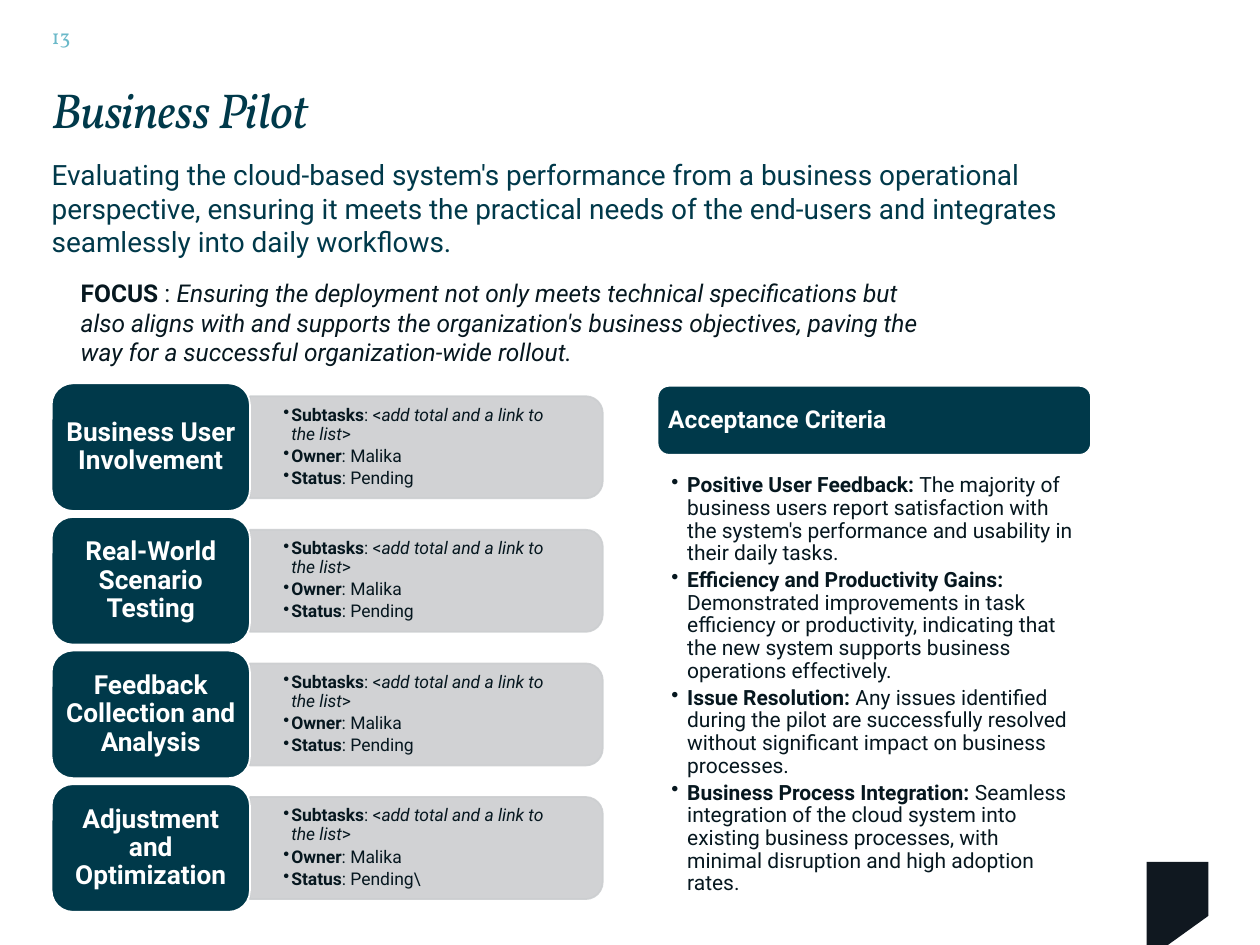
from dataclasses import dataclass
from typing import NamedTuple

from lxml.etree import SubElement
from pptx import Presentation
from pptx.dml.color import RGBColor
from pptx.enum.shapes import MSO_SHAPE
from pptx.enum.text import MSO_ANCHOR, PP_ALIGN
from pptx.oxml.ns import qn
from pptx.util import Pt


@dataclass(frozen=True)
class Theme:
    sans: str = "Roboto"
    serif: str = "Vollkorn"
    teal: str = "00394A"
    aqua: str = "6BB9C9"
    ink: str = "06171F"
    grey: str = "CCCED0"
    white: str = "FFFFFF"
    black: str = "101820"
    title: float = 28
    lead: float = 16
    card: float = 15
    head: float = 14
    body: float = 12
    small: float = 10


class Box(NamedTuple):
    left: float
    top: float
    width: float
    height: float


class Part(NamedTuple):
    text: str
    bold: bool = False
    slant: bool = False


class Style(NamedTuple):
    size: float
    color: str
    face: str = "Roboto"
    lines: float = 1.0
    after: float = 0
    hang: float = 0
    align: PP_ALIGN = PP_ALIGN.LEFT


class Task(NamedTuple):
    name: str
    status: str = "Pending"


class Goal(NamedTuple):
    name: str
    text: str


THEME = Theme()

TASKS = [
    Task("Business User Involvement"),
    Task("Real-World Scenario Testing"),
    Task("Feedback Collection and Analysis"),
    Task("Adjustment and Optimization", "Pending\\"),
]

GOALS = [
    Goal("Positive User Feedback:", " The majority of business users report satisfaction "
         "with the system's performance and usability in their daily tasks."),
    Goal("Efficiency and Productivity Gains:", " Demonstrated improvements in task efficiency "
         "or productivity, indicating that the new system supports business operations "
         "effectively."),
    Goal("Issue Resolution:", " Any issues identified during the pilot are successfully "
         "resolved without significant impact on business processes."),
    Goal("Business Process Integration:", " Seamless integration of the cloud system into "
         "existing business processes, with minimal disruption and high adoption rates."),
]


def write(shape, rows: list[list[Part]], style: Style, pads=(0, 0, 0, 0),
          anchor=MSO_ANCHOR.TOP, wrap: bool = True):
    frame = shape.text_frame
    frame.word_wrap = wrap
    frame.vertical_anchor = anchor
    (frame.margin_left, frame.margin_top,
     frame.margin_right, frame.margin_bottom) = map(Pt, pads)
    for i, row in enumerate(rows):
        para = frame.paragraphs[0] if i == 0 else frame.add_paragraph()
        para.alignment = style.align
        para.line_spacing = style.lines
        para.space_before = Pt(0)
        para.space_after = Pt(style.after)
        if style.hang:
            para.level = 1
            props = para._p.get_or_add_pPr()
            props.set("marL", str(Pt(style.hang)))
            props.set("indent", str(-Pt(style.hang)))
            SubElement(props, qn("a:buChar")).set("char", "•")
        para.font.name = style.face
        para.font.size = Pt(style.size)
        para.font.color.rgb = RGBColor.from_string(style.color)
        for part in row:
            run = para.add_run()
            run.text = part.text
            run.font.bold = part.bold
            run.font.italic = part.slant
    return shape


def label(slide, box: Box, rows: list[list[Part]], style: Style, **rest):
    return write(slide.shapes.add_textbox(*map(Pt, box)), rows, style, **rest)


def paint(shape, fill: str, line: str | None = None):
    shape.shadow.inherit = False
    shape.fill.solid()
    shape.fill.fore_color.rgb = RGBColor.from_string(fill)
    if line:
        shape.line.color.rgb = RGBColor.from_string(line)
        shape.line.width = Pt(1)
    else:
        shape.line.fill.background()
    return shape


def block(slide, kind: MSO_SHAPE, box: Box, fill: str, line: str):
    return paint(slide.shapes.add_shape(kind, *map(Pt, box)), fill, line)


def tab(slide, box: Box):
    """Draw a see-through bar, rounded on its right side only."""
    left = box.left + (box.width - box.height) / 2
    top = box.top + (box.height - box.width) / 2
    shape = block(slide, MSO_SHAPE.ROUND_2_SAME_RECTANGLE,
                  Box(left, top, box.height, box.width), THEME.grey, THEME.grey)
    shape.rotation = 90
    for color in shape._element.spPr.iter(qn("a:srgbClr")):
        SubElement(color, qn("a:alpha")).set("val", "90000")


def card(slide, task: Task, top: float):
    tab(slide, Box(142.8, top + 7.3, 201.6, 58.3))
    rows = [
        [Part("Subtasks", True), Part(": <"),
         Part("add total and a link to the list", slant=True), Part(">")],
        [Part("Owner", True), Part(": Malika")],
        [Part("Status", True), Part(f": {task.status}")],
    ]
    label(slide, Box(142.8, top + 10.1, 198.7, 52.6), rows,
          Style(THEME.small, THEME.ink, lines=0.9, after=1.8, hang=4.5),
          pads=(19.2, 9.9, 19.2, 9.9), anchor=MSO_ANCHOR.MIDDLE)
    shape = block(slide, MSO_SHAPE.ROUNDED_RECTANGLE, Box(29.5, top, 113.3, 72.9),
                  THEME.teal, THEME.white)
    write(shape, [[Part(task.name, True)]],
          Style(THEME.card, THEME.white, lines=0.9, align=PP_ALIGN.CENTER),
          pads=(4.5, 2.25, 4.5, 2.25), anchor=MSO_ANCHOR.MIDDLE)


def main():
    deck = Presentation()
    deck.slide_width, deck.slide_height = Pt(720), Pt(540)
    slide = deck.slides.add_slide(deck.slide_layouts[6])

    # Page number and corner tag
    label(slide, Box(24.5, 6.5, 43.2, 28.8), [[Part("13")]],
          Style(THEME.body, THEME.aqua, THEME.serif),
          pads=(5, 3, 5, 3), anchor=MSO_ANCHOR.MIDDLE)
    pen = slide.shapes.build_freeform(Pt(690.5), Pt(523.4))
    pen.add_line_segments([(Pt(x), Pt(y)) for x, y in
                           [(690.5, 492.5), (655.2, 492.5), (655.2, 540), (667.4, 540)]])
    paint(pen.convert_to_shape(), THEME.black)

    # Title, lead and focus
    title = label(slide, Box(29.5, 50.4, 163.4, 29.5), [[Part("Business Pilot", slant=True)]],
                  Style(THEME.title, THEME.teal, THEME.serif, lines=0.86), wrap=False)
    title.text_frame.paragraphs[0].runs[0].font._element.set("spc", "-30")
    lead = ("Evaluating the cloud-based system's performance from a business operational "
            "perspective, ensuring it meets the practical needs of the end-users and "
            "integrates seamlessly into daily workflows.")
    label(slide, Box(29.5, 90, 594, 54), [[Part(lead)]], Style(THEME.lead, THEME.teal))
    focus = ("Ensuring the deployment not only meets technical specifications but also aligns "
             "with and supports the organization's business objectives, paving the way for "
             "a successful organization-wide rollout.")
    label(slide, Box(46.1, 159.1, 495.4, 51.1),
          [[Part("FOCUS", True), Part(" : "), Part(focus, slant=True)]],
          Style(THEME.head, THEME.ink))

    # Task cards
    for i, task in enumerate(TASKS):
        card(slide, task, 219.1 + i * 76.35)

    # Acceptance criteria
    head = block(slide, MSO_SHAPE.ROUNDED_RECTANGLE, Box(375.8, 220.5, 247.7, 39.4),
                 THEME.teal, THEME.white)
    write(head, [[Part("Acceptance Criteria", True)]],
          Style(THEME.head, THEME.white, lines=0.9),
          pads=(4.2, 4.2, 4.2, 4.2), anchor=MSO_ANCHOR.MIDDLE)
    label(slide, Box(375.8, 270, 247.7, 234.7),
          [[Part(goal.name, True), Part(goal.text)] for goal in GOALS],
          Style(THEME.body, THEME.ink, lines=0.9, after=2.4, hang=9),
          pads=(7.9, 1.2, 8.5, 1.2))

    deck.save("out.pptx")


if __name__ == "__main__":
    main()
